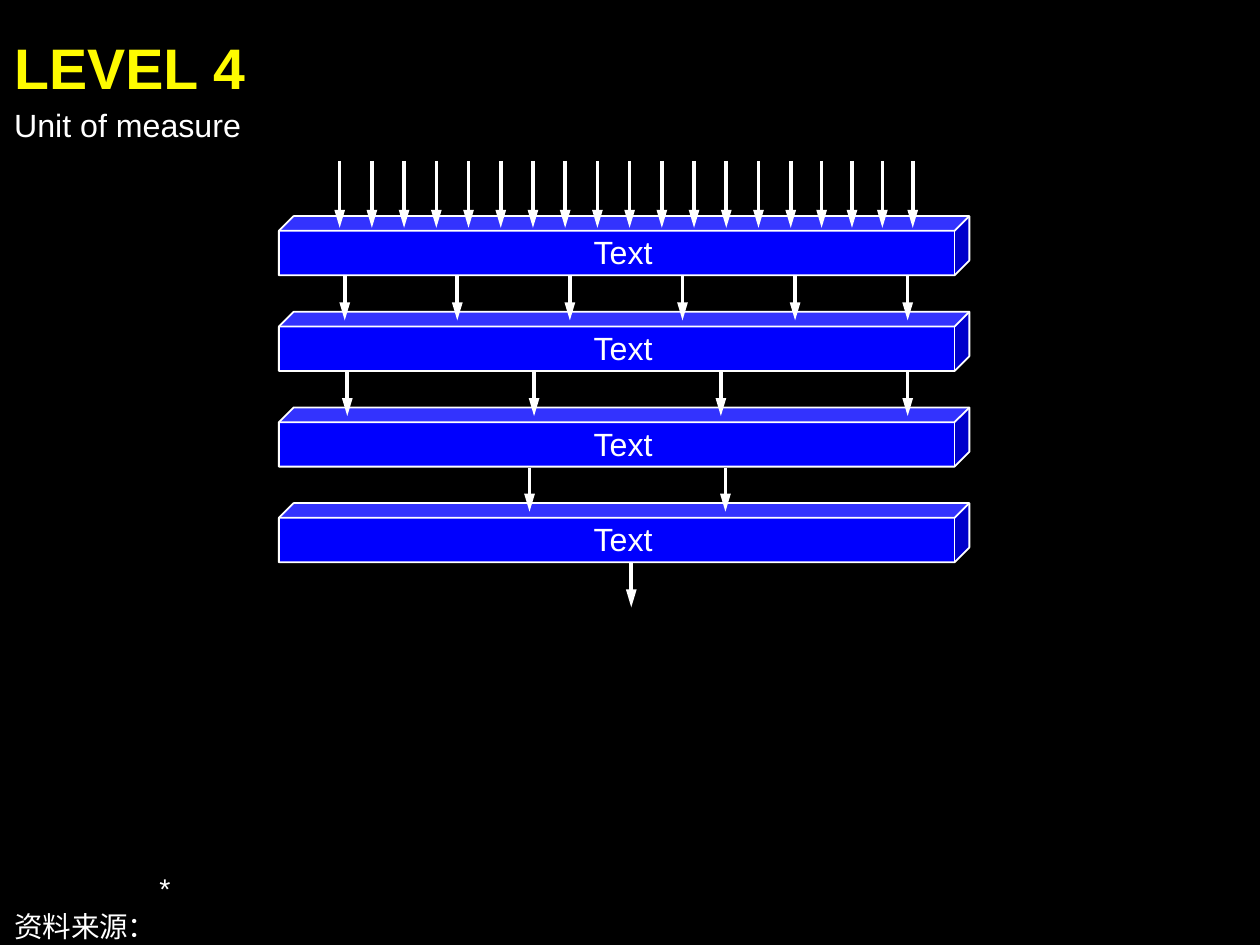
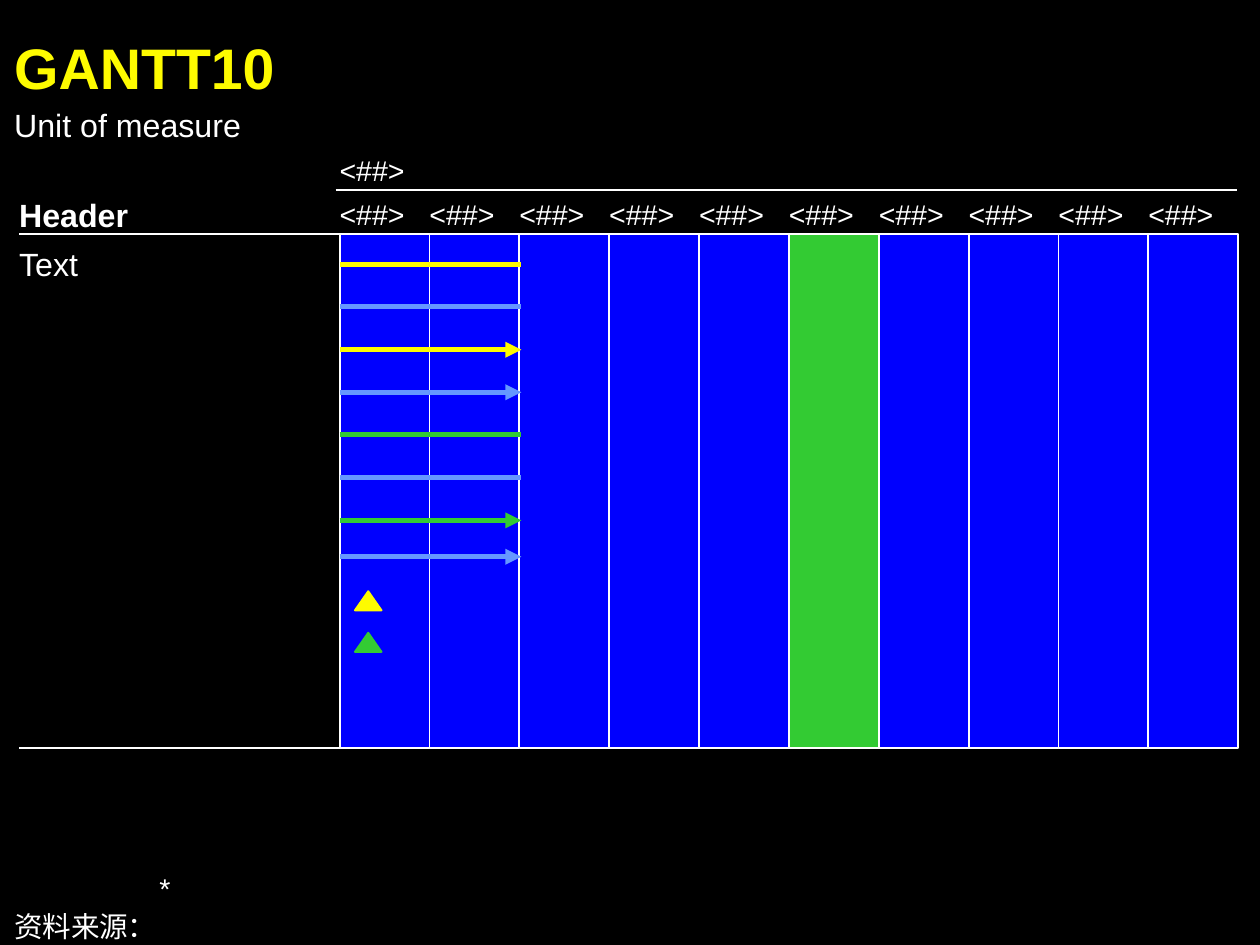
import pptx
import pptx.dml.color
import pptx.enum.dml
import pptx.enum.shapes
import pptx.enum.text
import pptx.oxml.ns
import pptx.util
from lxml import etree

Cm, Pt = pptx.util.Cm, pptx.util.Pt
SHAPE = pptx.enum.shapes.MSO_SHAPE
ANCHOR = pptx.enum.text.MSO_ANCHOR
ALIGN = pptx.enum.text.PP_ALIGN
qn = pptx.oxml.ns.qn

# Shared style, lengths in cm
FONT = "Arial"
BLACK, WHITE, BLUE = "000000", "FFFFFF", "0000FE"
YELLOW, GREEN, SKY = "FEFB00", "33CB33", "6598FF"
SLIDE_SIZE = (24.89, 18.67)
TITLE_BOX = (0.28, 0.64, 24.16, 1.35)
UNIT_BOX = (0.28, 2.08, 18.39, 0.76)
SOURCE_BOX = (0.28, 17.22, 23.93, 1.42)
UNIT = "Unit of measure"
SOURCE_LINES = ["\t*", "资料来源："]
SOURCE_INDENT = 2.87
SOURCE_TABS = [(0, "l"), (2.49, "r")]

# Level diagram
LEVELS = ["Text", "Text", "Text", "Text"]
BAR_LEFT, BAR_TOP, BAR_W, BAR_H, BAR_STEP = 5.51, 4.27, 13.64, 1.17, 1.89
INPUT_TOP, INPUT_BOTTOM = 3.18, 4.5
INPUT_RUNS = [(15, 6.71, 15.62), (4, 16.23, 18.03)]  # count, first x, last x
OUTPUT_RUNS = [(6, 6.81, 17.93), (4, 6.86, 17.93), (2, 10.46, 14.33), (1, 12.47, 12.47)]
OUTPUT_GAP, OUTPUT_LENGTH = 0.02, 0.87

# Gantt chart
PERIOD = "<##>"
PERIODS = [PERIOD] * 10
HIGHLIGHT = 5
GRID_LEFT, GRID_TOP, GRID_W, GRID_H = 6.71, 4.62, 17.75, 10.16
ROW_LEFT, ROW_RIGHT = 0.38, 6.76
TASK_RIGHT = 10.3
TASKS = [  # y, colour, arrow
    (5.23, YELLOW, False), (6.06, SKY, False), (6.91, YELLOW, True), (7.75, SKY, True),
    (8.59, GREEN, False), (9.43, SKY, False), (10.28, GREEN, True), (11.0, SKY, True),
]
MILESTONES = [(11.68, YELLOW), (12.5, GREEN)]


def rgb(hex_colour):
    return pptx.dml.color.RGBColor.from_string(hex_colour)


def cm(*lengths):
    return [Cm(n) for n in lengths]


def put_text(s, lines, size, colour=WHITE, bold=False, align=ALIGN.LEFT, anchor=ANCHOR.TOP):
    tf = s.text_frame
    tf.text = "\n".join(lines)
    tf.word_wrap = True
    tf.auto_size = pptx.enum.text.MSO_AUTO_SIZE.NONE
    tf.vertical_anchor = anchor
    tf.margin_left = tf.margin_right = tf.margin_top = tf.margin_bottom = 0
    for p in tf.paragraphs:
        p.alignment = align
        for r in p.runs:
            r.font.name, r.font.size, r.font.bold = FONT, Pt(size), bold
            r.font.color.rgb = rgb(colour)
    return tf


def add_text(slide, box, lines, size, **style):
    return put_text(slide.shapes.add_textbox(*cm(*box)), lines, size, **style)


def add_shape(slide, kind, box, fill, line):
    s = slide.shapes.add_shape(kind, *cm(*box))
    s.shadow.inherit = False
    s.fill.solid()
    s.fill.fore_color.rgb = rgb(fill)
    s.line.color.rgb = rgb(line)
    s.line.width = Pt(1)


def add_line(slide, x1, y1, x2, y2, width, colour=WHITE, head=None):
    """Draw a line; head is the length of the arrowhead, med or lg."""
    s = slide.shapes.add_connector(pptx.enum.shapes.MSO_CONNECTOR.STRAIGHT, *cm(x1, y1, x2, y2))
    s.line.color.rgb = rgb(colour)
    s.line.width = Pt(width)
    if head:
        etree.SubElement(s.line._get_or_add_ln(), qn("a:tailEnd"), type="triangle", w="med", len=head)
    etree.SubElement(s._element.spPr, qn("a:effectLst"))


def add_arrow_run(slide, run, top, bottom):
    """Draw evenly spaced arrows pointing down."""
    count, first, last = run
    step = (last - first) / max(count - 1, 1)
    for i in range(count):
        x = first + i * step
        add_line(slide, x, top, x, bottom, 2, head="lg")


def add_source(slide):
    tf = add_text(slide, SOURCE_BOX, SOURCE_LINES, 16, anchor=ANCHOR.BOTTOM)
    for p in tf.paragraphs:
        p.space_after = Pt(2)
        pPr = p._p.get_or_add_pPr()
        pPr.set("marL", str(Cm(SOURCE_INDENT)))
        pPr.set("indent", str(-Cm(SOURCE_INDENT)))
        tabs = etree.SubElement(pPr, qn("a:tabLst"))
        for pos, align in SOURCE_TABS:
            etree.SubElement(tabs, qn("a:tab"), pos=str(Cm(pos)), algn=align)


def add_slide(prs, title):
    slide = prs.slides.add_slide(prs.slide_layouts.get_by_name("Title Only"))
    s = slide.shapes.title
    s.left, s.top, s.width, s.height = cm(*TITLE_BOX)
    put_text(s, [title], 32, colour=YELLOW, bold=True)
    add_text(slide, UNIT_BOX, [UNIT], 18)
    add_source(slide)
    return slide


def build_levels(prs):
    slide = add_slide(prs, "LEVEL 4")
    tops = [BAR_TOP + i * BAR_STEP for i in range(len(LEVELS))]
    for top in reversed(tops):
        add_shape(slide, SHAPE.CUBE, (BAR_LEFT, top, BAR_W, BAR_H), BLUE, WHITE)
    for run in INPUT_RUNS:
        add_arrow_run(slide, run, INPUT_TOP, INPUT_BOTTOM)
    for label, top, run in zip(LEVELS, tops, OUTPUT_RUNS):
        start = top + BAR_H + OUTPUT_GAP
        add_arrow_run(slide, run, start, start + OUTPUT_LENGTH)
        add_text(slide, (BAR_LEFT + 0.31, top + 0.33, 12.98, 0.76), [label], 18,
                 align=ALIGN.CENTER, anchor=ANCHOR.MIDDLE)


def build_gantt(prs):
    slide = add_slide(prs, "GANTT10")
    col_w = GRID_W / len(PERIODS)
    for i, period in enumerate(PERIODS):
        x = GRID_LEFT + i * col_w
        fill = GREEN if i == HIGHLIGHT else BLUE
        add_shape(slide, SHAPE.RECTANGLE, (x, GRID_TOP, col_w, GRID_H), fill, WHITE)
        add_text(slide, (x, 3.89, 1.6, 0.69), [period], 16)
    add_text(slide, (GRID_LEFT, 3.02, 1.6, 0.69), [PERIOD], 16)
    add_line(slide, 6.63, 3.76, 24.43, 3.76, 1)

    for y, colour, arrow in TASKS:
        add_line(slide, GRID_LEFT, y, TASK_RIGHT, y, 3, colour, "med" if arrow else None)
    for y, colour in MILESTONES:
        add_shape(slide, SHAPE.ISOSCELES_TRIANGLE, (7.01, y, 0.53, 0.38), colour, colour)

    for y in (GRID_TOP, GRID_TOP + GRID_H):
        add_line(slide, ROW_LEFT, y, ROW_RIGHT, y, 1)
    add_text(slide, (ROW_LEFT, 3.86, 5.99, 0.76), ["Header"], 18, bold=True)
    add_text(slide, (ROW_LEFT, 4.83, 6.32, 0.76), ["Text"], 18)


def main():
    prs = pptx.Presentation()
    prs.slide_width, prs.slide_height = cm(*SLIDE_SIZE)
    background = prs.slide_master.background.fill
    background.solid()
    background.fore_color.rgb = rgb(BLACK)
    build_levels(prs)
    build_gantt(prs)
    prs.save("out.pptx")


if __name__ == "__main__":
    main()
